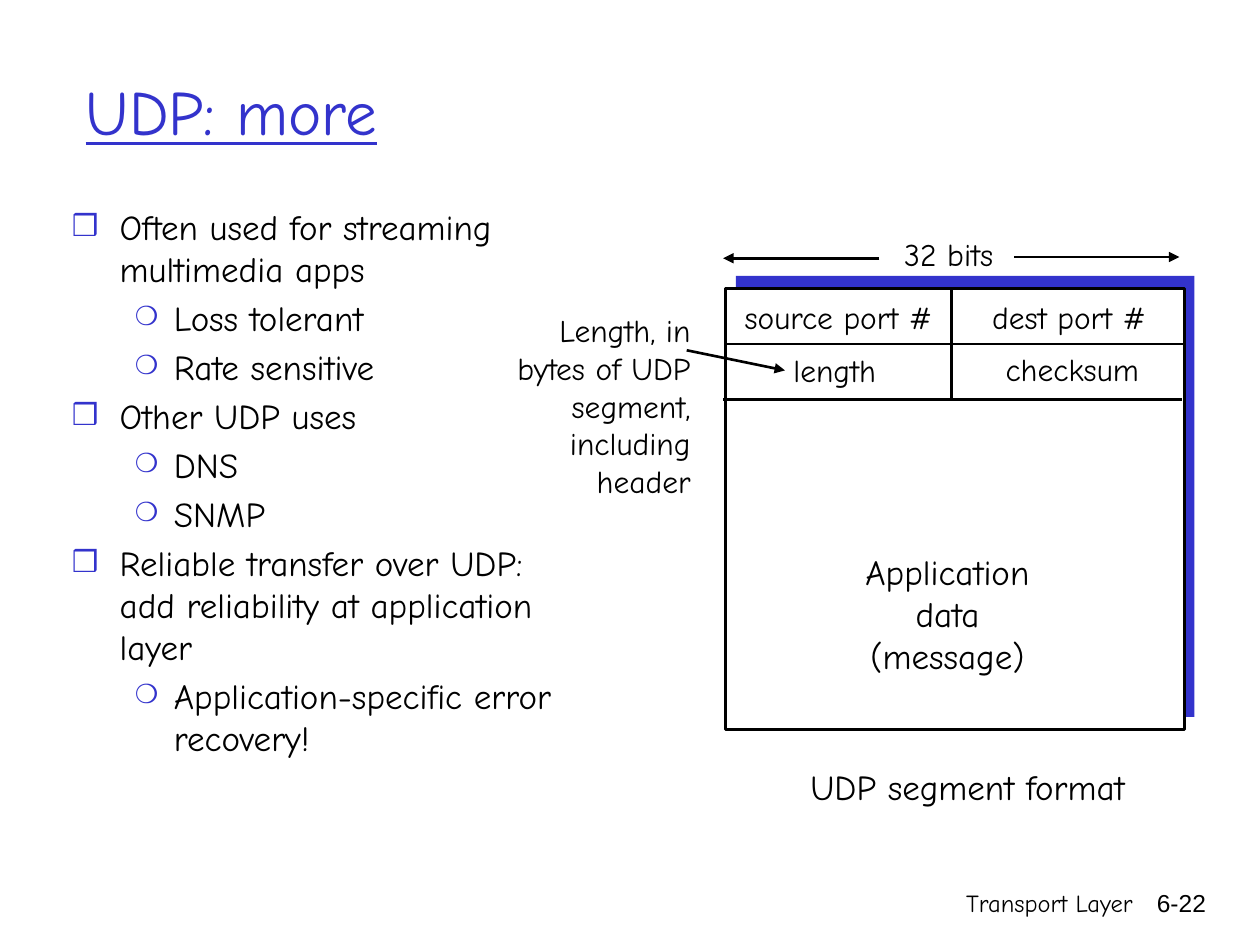
from dataclasses import dataclass

import pptx
import pptx.dml.color
import pptx.enum.shapes
import pptx.enum.text
import pptx.oxml
import pptx.oxml.ns
import pptx.util
from pptx.util import Inches

FONT, BLACK, WHITE, BLUE = "Comic Neue", "000000", "FFFFFF", "3333CC"
ALIGN = pptx.enum.text.PP_ALIGN
ANCHOR = pptx.enum.text.MSO_ANCHOR


@dataclass
class Label:
    text: str
    left: float
    top: float
    width: float
    height: float
    size: int = 18
    align: ALIGN = ALIGN.CENTER
    font: str = FONT
    wrap: bool = False


@dataclass
class Line:
    x1: float
    y1: float
    x2: float
    y2: float
    arrow: bool = False


@dataclass
class Bullet:
    char: str
    percent: int
    margin: float
    indent: float


def rgb(value: str):
    return pptx.dml.color.RGBColor.from_string(value)


def append_xml(parent, tag: str, content: str = "", **attributes):
    """Append one DrawingML element to parent."""
    values = "".join(f' {name}="{value}"' for name, value in attributes.items())
    namespace = pptx.oxml.ns.nsdecls("a")
    parent.append(pptx.oxml.parse_xml(
        f"<a:{tag} {namespace}{values}>{content}</a:{tag}>"))


def format_text(paragraph, size: int, color: str = BLACK, name: str = FONT,
                **extra):
    formats = {"size": pptx.util.Pt(size), "name": name, **extra}
    for run in paragraph.runs:
        for key, value in formats.items():
            setattr(run.font, key, value)
        run.font.color.rgb = rgb(color)


def place(shape, left: float, top: float, width: float, height: float):
    box = {"left": left, "top": top, "width": width, "height": height}
    for key, value in box.items():
        setattr(shape, key, Inches(value))


def add_label(slide, label: Label):
    frame = slide.shapes.add_textbox(
        Inches(label.left), Inches(label.top),
        Inches(label.width), Inches(label.height)).text_frame
    frame.word_wrap = label.wrap
    frame.text = label.text
    for paragraph in frame.paragraphs:
        paragraph.alignment = label.align
        format_text(paragraph, label.size, name=label.font)


def add_line(slide, line: Line):
    connector = slide.shapes.add_connector(
        pptx.enum.shapes.MSO_CONNECTOR.STRAIGHT,
        Inches(line.x1), Inches(line.y1), Inches(line.x2), Inches(line.y2))
    connector.line.color.rgb = rgb(BLACK)
    connector.line.width = pptx.util.Pt(1.5)
    if line.arrow:
        append_xml(connector.line._get_or_add_ln(), "tailEnd", type="triangle")
    append_xml(connector._element.spPr, "effectLst")


def add_panel(slide, left: float, top: float, fill: str, outlined: bool):
    panel = slide.shapes.add_shape(
        pptx.enum.shapes.MSO_SHAPE.RECTANGLE,
        Inches(left), Inches(top), Inches(3.64), Inches(3.5))
    panel.shadow.inherit = False
    panel.fill.solid()
    panel.fill.fore_color.rgb = rgb(fill)
    if outlined:
        panel.line.color.rgb = rgb(BLACK)
        panel.line.width = pptx.util.Pt(1.5)
    else:
        panel.line.fill.background()


def add_bullet(paragraph, bullet: Bullet):
    properties = paragraph._p.get_or_add_pPr()
    properties.set("marL", str(Inches(bullet.margin)))
    properties.set("indent", str(Inches(bullet.indent)))
    append_xml(properties, "buClr", f'<a:srgbClr val="{BLUE}"/>')
    append_xml(properties, "buSzPct", val=bullet.percent * 1000)
    append_xml(properties, "buFont", typeface=FONT)
    append_xml(properties, "buChar", char=bullet.char)


BULLETS = [Bullet("❒", 85, 0.38, -0.38), Bullet("❍", 75, 0.81, -0.31)]

POINTS = [
    (0, "Often used for streaming multimedia apps"),
    (1, "Loss tolerant"),
    (1, "Rate sensitive"),
    (0, "Other UDP uses"),
    (1, "DNS"),
    (1, "SNMP"),
    (0, "Reliable transfer over UDP: add reliability at application layer"),
    (1, "Application-specific error recovery!"),
]

LABELS = [
    # Footer
    Label("Transport Layer", 5.92, 7, 3.17, 0.5, 14, ALIGN.RIGHT, wrap=True),
    Label("6-22", 8.93, 7, 0.74, 0.5, 14, ALIGN.RIGHT, "Arial", True),
    # Header fields
    Label("source port #", 5.74, 2.32, 1.83, 0.4),
    Label("dest port #", 7.69, 2.32, 1.59, 0.4),
    Label("length", 6.16, 2.74, 0.93, 0.4),
    Label("checksum", 7.85, 2.73, 1.32, 0.4),
    # Payload, width and captions
    Label("32 bits", 7.01, 1.82, 1.04, 0.4),
    Label("Application\ndata\n(message)", 6.7, 4.32, 1.64, 1.1, 20),
    Label("UDP segment format", 6.23, 6.03, 2.9, 0.43, 20),
    Label("Length, in\nbytes of UDP\nsegment,\nincluding\nheader",
          3.82, 2.42, 1.76, 1.6, align=ALIGN.RIGHT),
]

LINES = [
    # Row and column rules
    Line(5.75, 2.73, 9.39, 2.73),
    Line(5.74, 3.17, 9.38, 3.17),
    Line(7.55, 2.72, 7.55, 2.29),
    Line(7.55, 3.17, 7.55, 2.74),
    # Width arrows and pointer to the length field
    Line(8.05, 2.04, 9.36, 2.04, True),
    Line(6.98, 2.05, 5.74, 2.05, True),
    Line(5.45, 2.78, 6.23, 2.94, True),
]


def main():
    deck = pptx.Presentation()
    deck.slide_width, deck.slide_height = Inches(10), Inches(7.5)
    slide = deck.slides.add_slide(deck.slide_layouts[1])

    # Title
    title = slide.shapes.title
    place(title, 0.58, 0.25, 9.12, 1.25)
    title.text_frame.text = "UDP: more"
    title.text_frame.vertical_anchor = ANCHOR.MIDDLE
    heading = title.text_frame.paragraphs[0]
    heading.alignment = ALIGN.LEFT
    format_text(heading, 36, BLUE, underline=True)

    # Bulleted list
    body = slide.placeholders[1]
    place(body, 0.47, 1.58, 4.17, 5.08)
    body.text_frame.auto_size = pptx.enum.text.MSO_AUTO_SIZE.NONE
    body.text_frame.text = "\n".join(text for _, text in POINTS)
    for index, (level, _) in enumerate(POINTS):
        paragraph = body.text_frame.paragraphs[index]
        paragraph.level = level
        paragraph.space_before = pptx.util.Pt(4 if index else 0)
        add_bullet(paragraph, BULLETS[level])
        format_text(paragraph, 20)

    # Segment diagram
    add_panel(slide, 5.84, 2.19, BLUE, False)
    add_panel(slide, 5.76, 2.29, WHITE, True)
    for line in LINES:
        add_line(slide, line)
    for label in LABELS:
        add_label(slide, label)

    deck.save("out.pptx")


if __name__ == "__main__":
    main()
